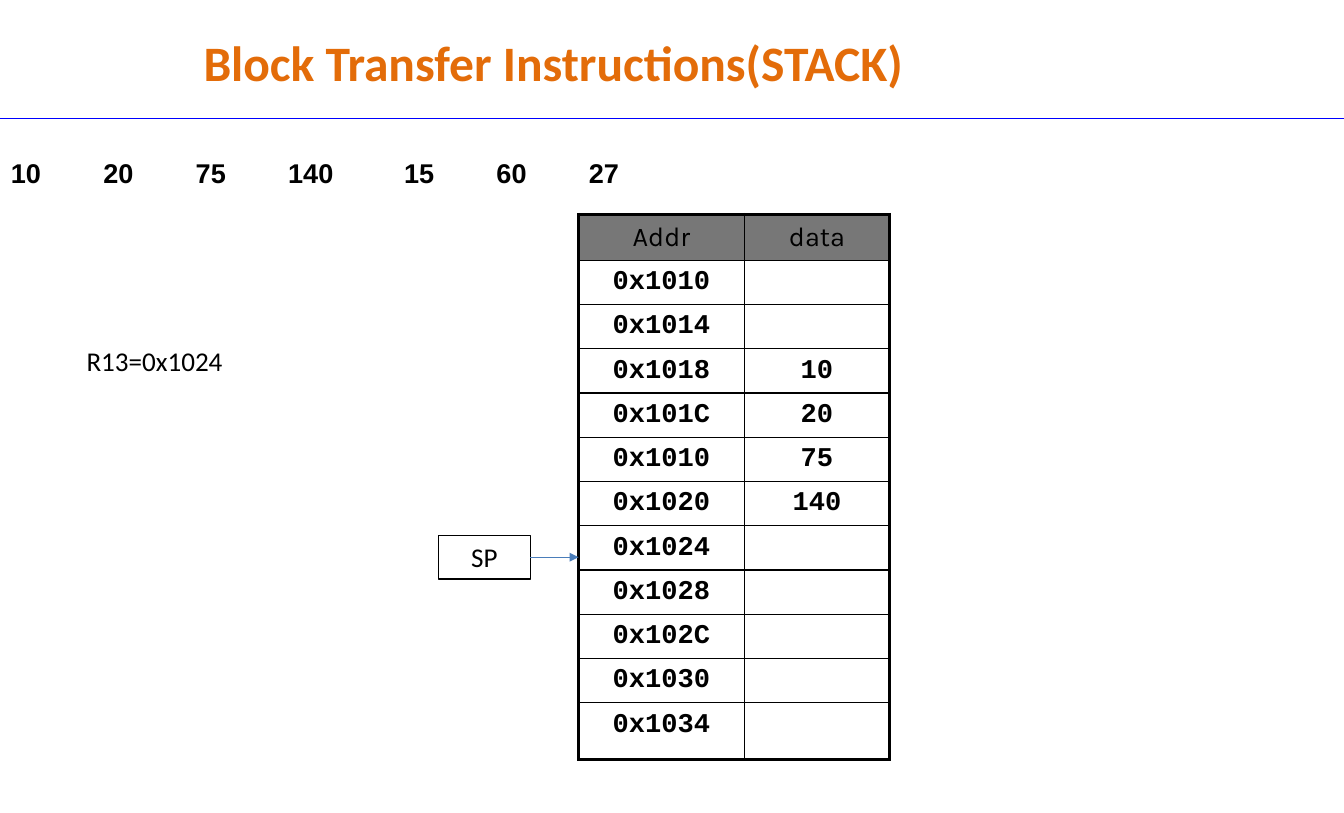
from dataclasses import dataclass

import pptx
import pptx.dml.color
import pptx.enum.shapes
import pptx.enum.text
import pptx.oxml
import pptx.oxml.ns
import pptx.util

Pt = pptx.util.Pt
CENTER = pptx.enum.text.PP_ALIGN.CENTER
LEFT = pptx.enum.text.PP_ALIGN.LEFT


@dataclass(frozen=True)
class Theme:
    black: str = "000000"
    white: str = "FFFFFF"
    title: str = "E36C09"
    rule: str = "0000FF"
    arrow: str = "4A7DBA"
    header: str = "777777"
    title_size: float = 32.9
    text_size: float = 18
    text_font: str = "Calibri"
    values_font: str = "Arial"
    header_font: str = "Karla"
    memory_font: str = "Courier New"


THEME = Theme()

PUSHED_VALUES = ["10", "20", "75", "140", "15", "60", "27"]
MEMORY = [
    ("Addr", "data"),
    ("0x1010", ""),
    ("0x1014", ""),
    ("0x1018", "10"),
    ("0x101C", "20"),
    ("0x1010", "75"),
    ("0x1020", "140"),
    ("0x1024", ""),
    ("0x1028", ""),
    ("0x102C", ""),
    ("0x1030", ""),
    ("0x1034", ""),
]


def rgb(color):
    return pptx.dml.color.RGBColor.from_string(color)


def drawing_element(tag, attributes="", content=""):
    namespace = pptx.oxml.ns.nsdecls("a")
    return pptx.oxml.parse_xml(f"<a:{tag} {namespace} {attributes}>{content}</a:{tag}>")


def write(frame, text, font, size=THEME.text_size, color=THEME.black, bold=False, align=LEFT):
    frame.text = text
    paragraph = frame.paragraphs[0]
    paragraph.alignment = align
    for run in paragraph.runs:
        run.font.name = font
        run.font.size = Pt(size)
        run.font.bold = bold
        run.font.color.rgb = rgb(color)


def add_title(slide, text):
    title = slide.shapes.title
    title.left, title.top, title.width, title.height = Pt(0), Pt(17.3), Pt(735), Pt(48)
    frame = title.text_frame
    frame.auto_size = pptx.enum.text.MSO_AUTO_SIZE.NONE
    frame.vertical_anchor = pptx.enum.text.MSO_ANCHOR.MIDDLE
    write(frame, text, THEME.text_font, THEME.title_size, THEME.title, True, CENTER)


def add_line(slide, start, end, color, arrow=False):
    connector = slide.shapes.add_connector(
        pptx.enum.shapes.MSO_CONNECTOR.STRAIGHT, *(Pt(value) for value in start + end)
    )
    connector.line.color.rgb = rgb(color)
    connector.line.width = Pt(0.75)
    properties = connector._element.spPr
    if arrow:
        outline = properties.find(pptx.oxml.ns.qn("a:ln"))
        outline.append(drawing_element("tailEnd", 'type="triangle"'))
    properties.append(drawing_element("effectLst"))
    return connector


def add_label(slide, text, left, top, width, height):
    label = slide.shapes.add_textbox(Pt(left), Pt(top), Pt(width), Pt(height))
    label.text_frame.word_wrap = True
    write(label.text_frame, text, THEME.text_font)


def add_pointer_box(slide, text, left, top, width, height):
    box = slide.shapes.add_shape(
        pptx.enum.shapes.MSO_SHAPE.RECTANGLE, Pt(left), Pt(top), Pt(width), Pt(height)
    )
    box.shadow.inherit = False
    box.fill.background()
    box.line.color.rgb = rgb(THEME.black)
    box.line.width = Pt(0.75)
    box.text_frame.vertical_anchor = pptx.enum.text.MSO_ANCHOR.TOP
    write(box.text_frame, text, THEME.text_font, align=CENTER)
    return box


def add_grid(slide, left, top, widths, heights):
    grid = slide.shapes.add_table(
        len(heights), len(widths), Pt(left), Pt(top), Pt(sum(widths)), Pt(sum(heights))
    ).table
    grid.first_row = False
    grid.horz_banding = False
    for column, width in zip(grid.columns, widths):
        column.width = Pt(width)
    for row, height in zip(grid.rows, heights):
        row.height = Pt(height)
    return grid


def set_border(cell, side, width):
    fill = f'<a:solidFill><a:srgbClr val="{THEME.black}"/></a:solidFill>'
    border = drawing_element(side, f'w="{Pt(width)}"', fill)
    cell._tc.get_or_add_tcPr().append(border)


def add_values(slide):
    widths = [61.4, 61.4, 61.4, 77, 61.4, 61.4, 134]
    grid = add_grid(slide, 0, 102.24, widths, [29.5])
    for cell, value in zip(grid.iter_cells(), PUSHED_VALUES):
        cell.fill.solid()
        cell.fill.fore_color.rgb = rgb(THEME.white)
        write(cell.text_frame, value, THEME.values_font, bold=True)


def add_memory(slide):
    last = len(MEMORY) - 1
    heights = [30.5] + [29.36] * (last - 1) + [37.5]
    grid = add_grid(slide, 384.3, 142.4, [110.2, 96.5], heights)
    for row, entries in enumerate(MEMORY):
        for column, text in enumerate(entries):
            cell = grid.cell(row, column)
            outer = {"lnL": column == 0, "lnR": column == 1, "lnT": row == 0, "lnB": row == last}
            for side, is_outer in outer.items():
                set_border(cell, side, 2.25 if is_outer else 1)
            if row == 0:
                cell.fill.solid()
                cell.fill.fore_color.rgb = rgb(THEME.header)
            else:
                cell.fill.background()
            if text:
                cell.margin_left = cell.margin_right = Pt(9)
                cell.margin_top = cell.margin_bottom = Pt(4.5)
                font = THEME.memory_font if row else THEME.header_font
                write(cell.text_frame, text, font, bold=row > 0, align=CENTER)


def main():
    deck = pptx.Presentation()
    deck.slide_width, deck.slide_height = Pt(892.8), Pt(540)
    slide = deck.slides.add_slide(deck.slide_layouts[5])
    add_title(slide, "Block Transfer Instructions(STACK)")
    add_line(slide, (0, 79), (892.8, 79), THEME.rule)
    add_memory(slide)
    add_values(slide)
    stack_pointer = add_pointer_box(slide, "SP", 291.3, 355.6, 61, 29)
    pointer_arrow = add_line(slide, (352.3, 370.1), (384.3, 370.1), THEME.arrow, arrow=True)
    pointer_arrow.begin_connect(stack_pointer, 3)
    add_label(slide, "R13=0x1024", 50.4, 224.9, 131, 29)
    deck.save("out.pptx")


if __name__ == "__main__":
    main()
